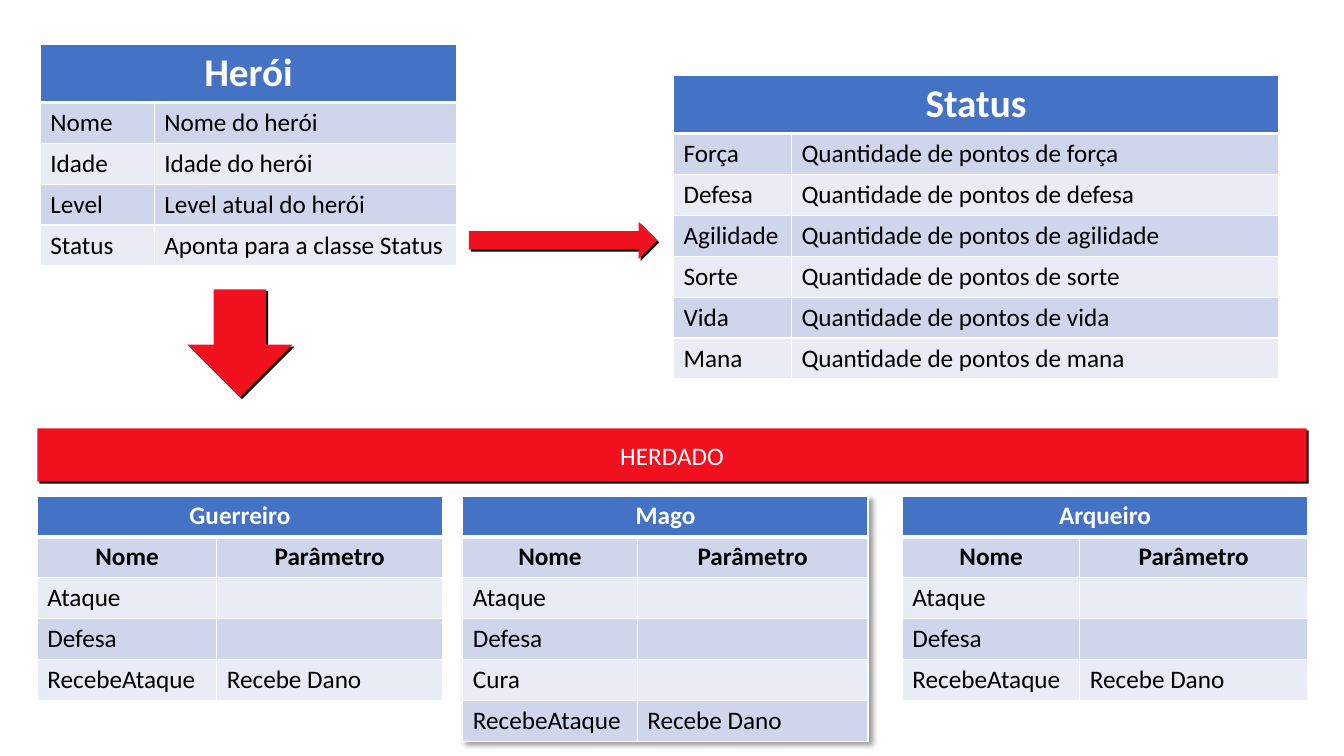
from lxml import etree
from pptx import Presentation
from pptx.dml.color import RGBColor
from pptx.enum.shapes import MSO_SHAPE
from pptx.enum.text import MSO_ANCHOR, PP_ALIGN
from pptx.oxml.ns import qn
from pptx.util import Inches, Pt

BLUE, RED, WHITE, BLACK = "4472C4", "F1111E", "FFFFFF", "000000"
BANDS = ["CFD5EA", "E9EBF5"]
ROW_H = 0.4
HEADER_H = {28: 0.57, 18: 0.4}

HERO = [("Nome", "Nome do herói"), ("Idade", "Idade do herói"),
        ("Level", "Level atual do herói"),
        ("Status", "Aponta para a classe Status")]
STATUS = [(name, f"Quantidade de pontos de {name.lower()}")
          for name in ("Força", "Defesa", "Agilidade", "Sorte", "Vida", "Mana")]
COLUMNS = ("Nome", "Parâmetro")
ATTACK, DEFENSE, HEAL = ("Ataque", ""), ("Defesa", ""), ("Cura", "")
DAMAGE = ("RecebeAtaque", "Recebe Dano")

TABLES = [
    ("Herói", 28, 0.4, 0.44, (1.13, 3), HERO),
    ("Status", 28, 6.68, 0.75, (1.17, 4.83), STATUS),
    ("Guerreiro", 18, 0.37, 4.92, (1.78, 2.24), [COLUMNS, ATTACK, DEFENSE, DAMAGE]),
    ("Mago", 18, 4.59, 4.92, (1.73, 2.29), [COLUMNS, ATTACK, DEFENSE, HEAL, DAMAGE]),
    ("Arqueiro", 18, 8.95, 4.92, (1.76, 2.26), [COLUMNS, ATTACK, DEFENSE, DAMAGE]),
]
SHAPES = [
    (MSO_SHAPE.RIGHT_ARROW, 4.65, 2.2, 1.87, 0.37, ""),
    (MSO_SHAPE.DOWN_ARROW, 1.86, 2.87, 1.04, 1.07, ""),
    (MSO_SHAPE.RECTANGLE, 0.37, 4.25, 12.59, 0.53, "HERDADO"),
]


def rgb(value):
    return RGBColor.from_string(value)


def write(tf, text, size=18, color=BLACK, bold=False, center=False):
    p = tf.paragraphs[0]
    p.alignment = PP_ALIGN.CENTER if center else PP_ALIGN.LEFT
    p.font.size = Pt(size)
    if text:
        r = p.add_run()
        r.text = text
        r.font.name = "Calibri"
        r.font.size = Pt(size)
        r.font.bold = bold
        r.font.color.rgb = rgb(color)


def add_color(parent, value, alpha=100):
    color = etree.SubElement(parent, qn("a:srgbClr"), val=value)
    if alpha < 100:
        etree.SubElement(color, qn("a:alpha"), val=str(alpha * 1000))


def make_shadow(blur, distance, alpha):
    effects = etree.Element(qn("a:effectLst"))
    shadow = etree.SubElement(effects, qn("a:outerShdw"), blurRad=str(Pt(blur)),
                              dist=str(Pt(distance)), dir="2700000",
                              algn="tl", rotWithShape="0")
    add_color(shadow, BLACK, alpha)
    return effects


def paint_cell(cell, fill, bottom=1):
    tcPr = cell._tc.get_or_add_tcPr()
    for side, width in (("L", 1), ("R", 1), ("T", 1), ("B", bottom)):
        line = etree.SubElement(tcPr, qn(f"a:ln{side}"), w=str(Pt(width)))
        add_color(etree.SubElement(line, qn("a:solidFill")), WHITE)
    cell.fill.solid()
    cell.fill.fore_color.rgb = rgb(fill)


def add_class_table(s, title, size, left, top, widths, rows):
    heights = [HEADER_H[size]] + [ROW_H] * len(rows)
    frame = s.shapes.add_table(len(heights), 2, Inches(left), Inches(top),
                               Inches(sum(widths)), Inches(sum(heights)))
    table = frame.table
    for column, width in zip(table.columns, widths):
        column.width = Inches(width)
    for row, height in zip(table.rows, heights):
        row.height = Inches(height)
    header = table.cell(0, 0)
    header.merge(table.cell(0, 1))
    for cell in table.rows[0].cells:
        paint_cell(cell, BLUE, bottom=3)
    write(header.text_frame, title, size=size, color=WHITE, bold=True, center=True)
    for i, row in enumerate(rows):
        heading = row == COLUMNS
        for j, text in enumerate(row):
            cell = table.cell(i + 1, j)
            paint_cell(cell, BANDS[i % 2])
            write(cell.text_frame, text, bold=heading, center=heading)
    return table


def add_red_shape(s, kind, left, top, width, height, text):
    sp = s.shapes.add_shape(kind, Inches(left), Inches(top),
                            Inches(width), Inches(height))
    sp.fill.solid()
    sp.fill.fore_color.rgb = rgb(RED)
    sp.line.fill.background()
    sp._element.spPr.append(make_shadow(0, 2, 100))
    if text:
        sp.text_frame.vertical_anchor = MSO_ANCHOR.MIDDLE
        write(sp.text_frame, text, color=WHITE, center=True)


def main():
    prs = Presentation()
    prs.slide_width, prs.slide_height = Inches(13.33), Inches(7.5)
    s = prs.slides.add_slide(prs.slide_layouts[6])
    for spec in TABLES:
        table = add_class_table(s, *spec)
        if spec[0] == "Mago":
            table._tbl.tblPr.insert(0, make_shadow(4, 3, 40))
    for shape in SHAPES:
        add_red_shape(s, *shape)
    prs.save("out.pptx")


if __name__ == "__main__":
    main()
